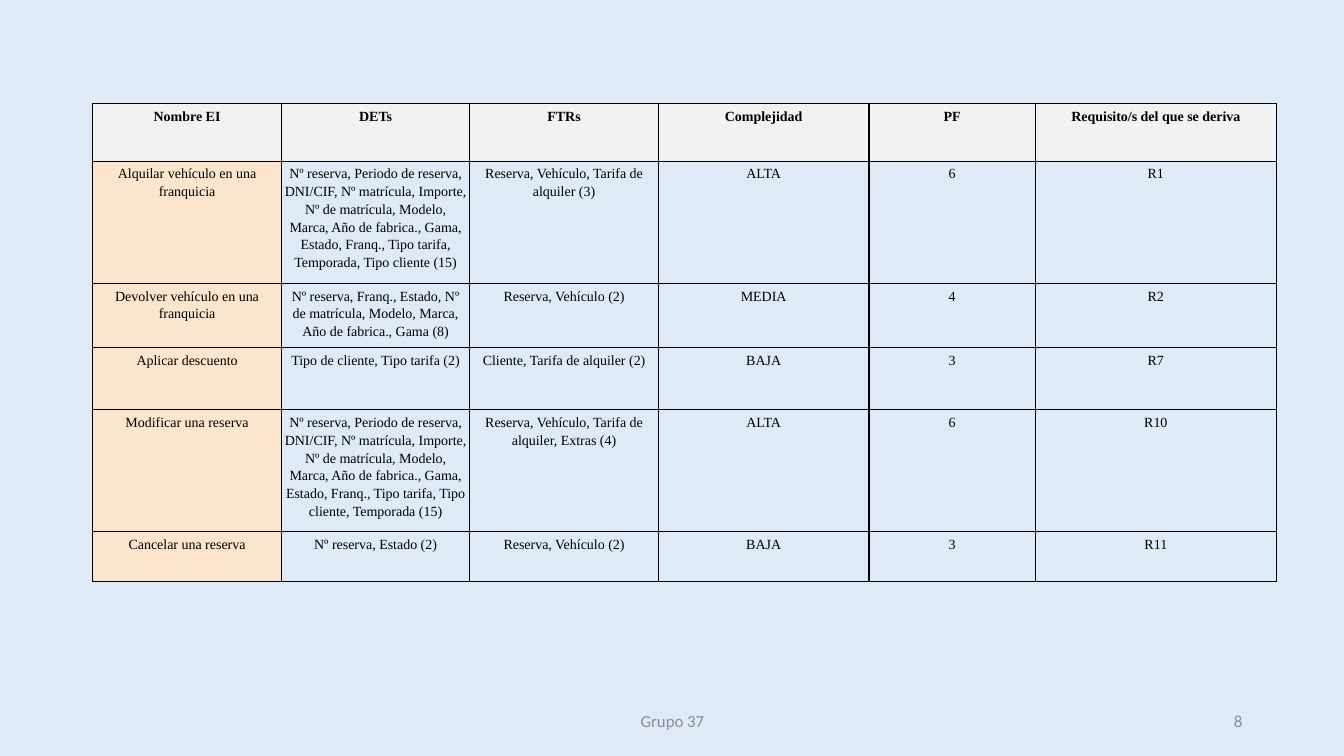
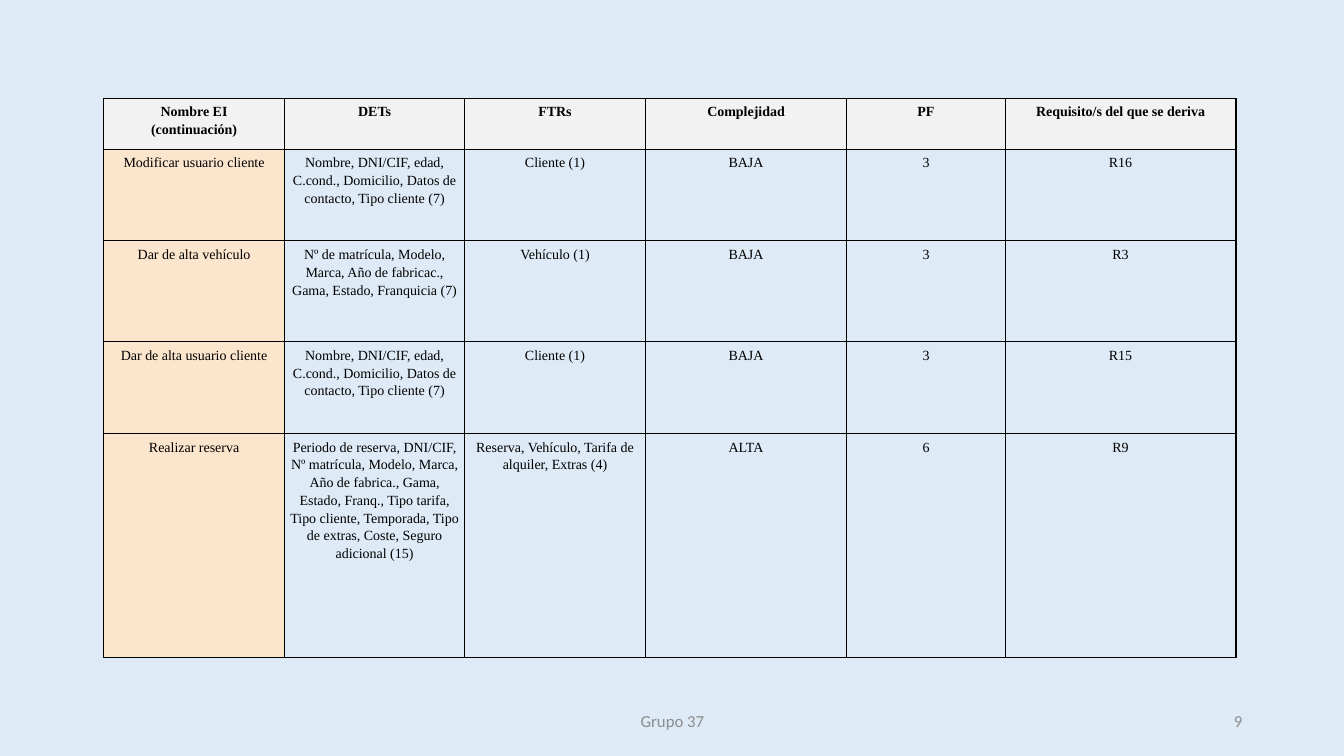
import pptx
import pptx.dml.color
import pptx.enum.text
import pptx.oxml
import pptx.oxml.ns
import pptx.util

PX = 9144
PAGE_WIDTH, PAGE_HEIGHT = 1333, 750

PAGE_COLOR = pptx.dml.color.RGBColor(0xDE, 0xEB, 0xF7)
HEADING_COLOR = pptx.dml.color.RGBColor(0xF2, 0xF2, 0xF2)
NAME_COLOR = pptx.dml.color.RGBColor(0xFC, 0xE5, 0xCD)
INK = pptx.dml.color.RGBColor(0x00, 0x00, 0x00)
FOOTER_COLOR = pptx.dml.color.RGBColor(0x8C, 0x8C, 0x8C)

TABLE_FONT = "Times New Roman"
FOOTER_FONT = "Calibri"
PLAIN_TABLE_STYLE = "{2D5ABB26-0587-4C30-8999-92F81FD0307C}"
CENTER = pptx.enum.text.PP_ALIGN.CENTER
RIGHT = pptx.enum.text.PP_ALIGN.RIGHT

HEADINGS = ["DETs", "FTRs", "Complejidad", "PF", "Requisito/s del que se deriva"]
CLIENT_DETS = "Nombre, DNI/CIF, edad, C.cond., Domicilio, Datos de contacto, Tipo cliente (7)"
RESERVATION_DETS = (
    "Nº reserva, Periodo de reserva, DNI/CIF, Nº matrícula, Importe, "
    "Nº de matrícula, Modelo, Marca, Año de fabrica., Gama, Estado, Franq., Tipo tarifa, "
)
RESERVATION_FTRS = "Reserva, Vehículo, Tarifa de alquiler, Extras (4)"

RENTAL_ROWS = [
    ["Alquilar vehículo en una franquicia",
     RESERVATION_DETS + "Temporada, Tipo cliente (15)",
     "Reserva, Vehículo, Tarifa de alquiler (3)", "ALTA", "6", "R1"],
    ["Devolver vehículo en una franquicia",
     "Nº reserva, Franq., Estado, Nº de matrícula, Modelo, Marca, Año de fabrica., Gama (8)",
     "Reserva, Vehículo (2)", "MEDIA", "4", "R2"],
    ["Aplicar descuento", "Tipo de cliente, Tipo tarifa (2)",
     "Cliente, Tarifa de alquiler (2)", "BAJA", "3", "R7"],
    ["Modificar una reserva",
     RESERVATION_DETS + "Tipo cliente, Temporada (15)",
     RESERVATION_FTRS, "ALTA", "6", "R10"],
    ["Cancelar una reserva", "Nº reserva, Estado (2)",
     "Reserva, Vehículo (2)", "BAJA", "3", "R11"],
]
REGISTRATION_ROWS = [
    ["Modificar usuario cliente", CLIENT_DETS, "Cliente (1)", "BAJA", "3", "R16"],
    ["Dar de alta vehículo",
     "Nº de matrícula, Modelo, Marca, Año de fabricac., Gama, Estado, Franquicia (7)",
     "Vehículo (1)", "BAJA", "3", "R3"],
    ["Dar de alta usuario cliente", CLIENT_DETS, "Cliente (1)", "BAJA", "3", "R15"],
    ["Realizar reserva",
     "Periodo de reserva, DNI/CIF, Nº matrícula, Modelo, Marca, Año de fabrica., Gama, "
     "Estado, Franq., Tipo tarifa, Tipo cliente, Temporada, Tipo de extras, Coste, "
     "Seguro adicional (15)",
     RESERVATION_FTRS, "ALTA", "6", "R9"],
]


def px(length):
    return pptx.util.Emu(length * PX)


def add_borders(cell):
    properties = cell._tc.get_or_add_tcPr()
    for position, side in enumerate("LRTB"):
        line = pptx.oxml.parse_xml(
            f'<a:ln{side} {pptx.oxml.ns.nsdecls("a")} w="{pptx.util.Pt(1)}">'
            f'<a:solidFill><a:srgbClr val="{INK}"/></a:solidFill></a:ln{side}>'
        )
        properties.insert(position, line)


def style_cell(cell, text, fill_color, bold, inset):
    cell.text = text
    cell.margin_left = cell.margin_right = px(inset)
    cell.margin_top = cell.margin_bottom = px(inset)
    if fill_color is None:
        cell.fill.background()
    else:
        cell.fill.solid()
        cell.fill.fore_color.rgb = fill_color
    for para in cell.text_frame.paragraphs:
        para.alignment = CENTER
        para.line_spacing = 1.15
        para.font.name = TABLE_FONT
        para.font.size = pptx.util.Pt(10)
        para.font.bold = bold
        para.font.color.rgb = INK
    add_borders(cell)


def add_function_table(page, left, top, widths, heights, rows, has_heading, inset):
    frame = page.shapes.add_table(
        len(rows), len(widths), px(left), px(top), px(sum(widths)), px(sum(heights))
    )
    table = frame.table
    table.first_row = has_heading
    table.horz_banding = False
    for style in frame.element.iter(pptx.oxml.ns.qn("a:tableStyleId")):
        style.text = PLAIN_TABLE_STYLE
    for column, width in zip(table.columns, widths):
        column.width = px(width)
    for row, height in zip(table.rows, heights):
        row.height = px(height)
    for row_index, texts in enumerate(rows):
        is_heading = has_heading and row_index == 0
        for column_index, text in enumerate(texts):
            if is_heading:
                fill_color = HEADING_COLOR
            else:
                fill_color = NAME_COLOR if column_index == 0 else None
            style_cell(table.cell(row_index, column_index), text, fill_color, is_heading, inset)


def add_footer_text(page, left, width, text, alignment):
    box = page.shapes.add_textbox(px(left), px(695), px(width), px(40))
    box.text_frame.word_wrap = True
    box.text_frame.vertical_anchor = pptx.enum.text.MSO_ANCHOR.MIDDLE
    para = box.text_frame.paragraphs[0]
    para.text = text
    para.alignment = alignment
    para.font.name = FOOTER_FONT
    para.font.size = pptx.util.Pt(12)
    para.font.color.rgb = FOOTER_COLOR


def add_page(deck, number):
    page = deck.slides.add_slide(deck.slide_layouts[6])
    add_footer_text(page, 442, 450, "Grupo 37", CENTER)
    add_footer_text(page, 942, 300, str(number), RIGHT)
    return page


def add_rental_page(deck):
    page = add_page(deck, 8)
    rows = [["Nombre EI"] + HEADINGS] + RENTAL_ROWS
    add_function_table(page, 92, 103, [187, 187, 187, 209, 165, 239],
                       [57, 112, 56, 62, 99, 49], rows, True, 3)


def add_registration_page(deck):
    page = add_page(deck, 9)
    left, top, heading_height = 103, 98, 50
    widths = [179, 179, 179, 200, 157, 229]
    add_function_table(page, left, top + heading_height, widths,
                       [91, 100, 91, 222], REGISTRATION_ROWS, False, 4)
    add_function_table(page, left, top, widths, [heading_height],
                       [["Nombre EI\n(continuación)"] + HEADINGS], True, 3)


def main():
    deck = pptx.Presentation()
    deck.slide_width, deck.slide_height = px(PAGE_WIDTH), px(PAGE_HEIGHT)
    background = deck.slide_master.background.fill
    background.solid()
    background.fore_color.rgb = PAGE_COLOR
    add_rental_page(deck)
    add_registration_page(deck)
    deck.save("out.pptx")


if __name__ == "__main__":
    main()
